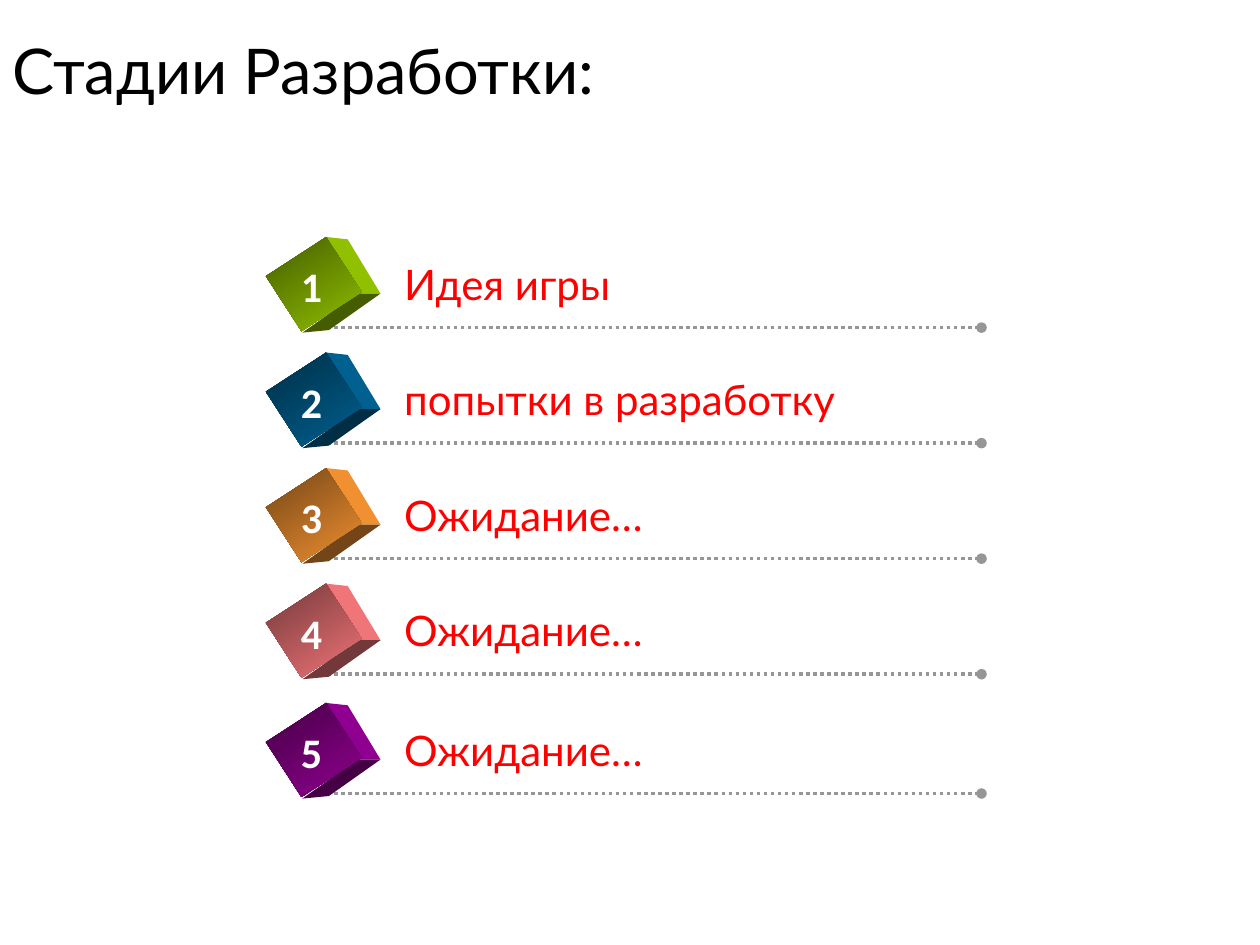
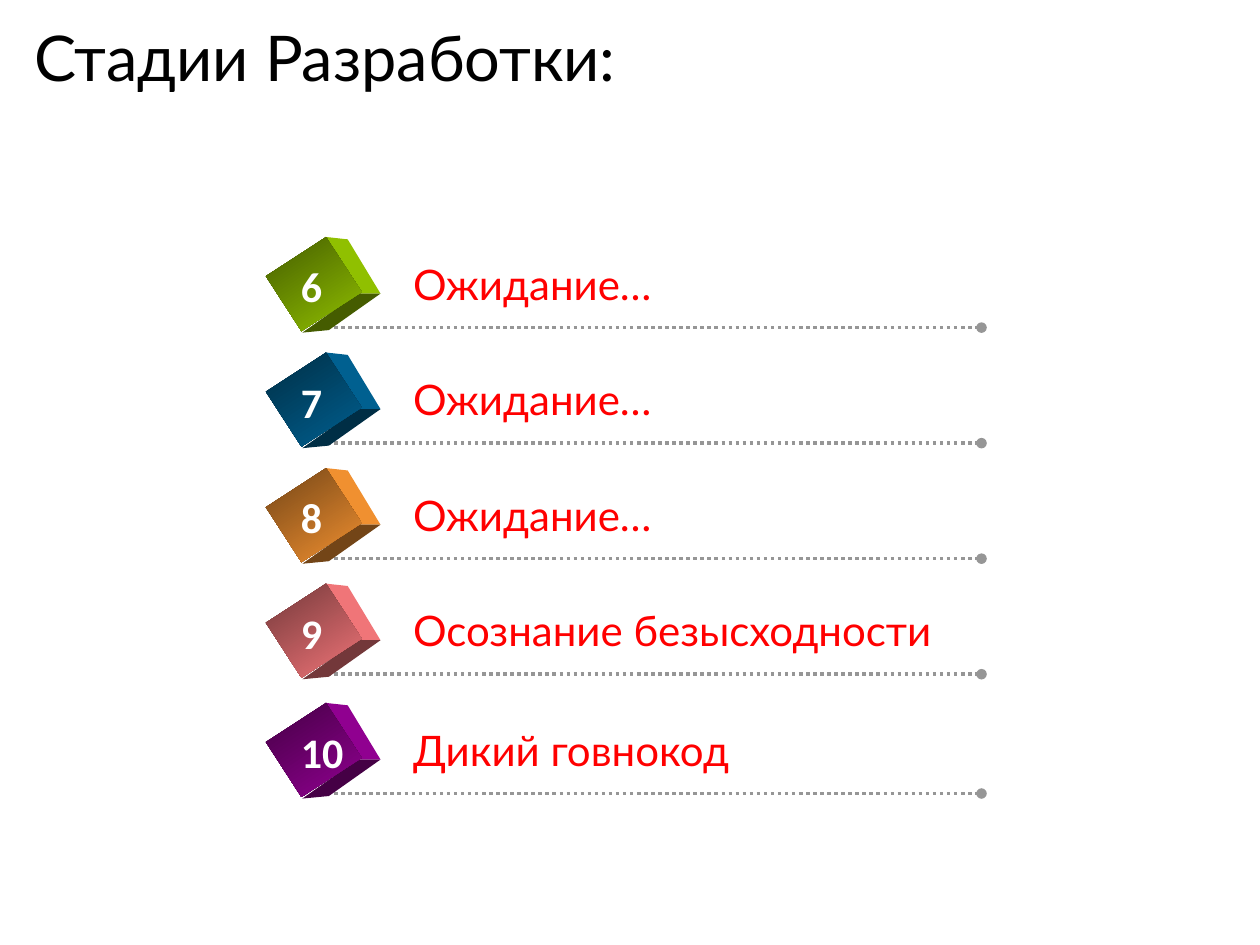
from lxml.etree import SubElement
from pptx import Presentation
from pptx.dml.color import RGBColor
from pptx.enum.dml import MSO_LINE
from pptx.enum.shapes import MSO_CONNECTOR, MSO_SHAPE
from pptx.enum.text import MSO_ANCHOR, MSO_AUTO_SIZE, PP_ALIGN
from pptx.oxml.ns import qn
from pptx.util import Inches, Pt

TITLE = "Стадии Разработки:"
TITLE_FONT = LABEL_FONT = "Lato"
NUMBER_FONT = "Calibri"
BLACK, WHITE, RED, GRAY = "000000", "FFFFFF", "FF0000", "969696"
CUBE_COLORS = ["99CC00", "006699", "FF9933", "FF7C80", "990099"]

# Row grid in inches; the last row sits slightly lower
FIRST_ROW, ROW_PITCH, LAST_ROW_DROP = 1.97, 0.917, 0.03
CUBE_LEFT, CUBE_WIDTH, CUBE_HEIGHT, CUBE_TURN = 2.23, 0.52, 0.57, 57
NUMBER_LEFT, LINE_LEFT, LINE_RIGHT = 2.29, 2.54, 7.79
TEXT_HEIGHT = 0.51

# Corners of the visible cube sides, measured from the row's top
RIGHT_SIDE = [(2.58, -0.09), (2.76, -0.07), (3.02, 0.36), (2.84, 0.36)]
BOTTOM_SIDE = [(2.84, 0.36), (3.02, 0.36), (2.61, 0.65), (2.4, 0.67)]
LIT, SHADED = 0.94, 0.45

# Each stage is its label and the width of the label's box
FIRST_STAGES = [
    ("Идея игры", 1.97),
    ("попытки в разработку", 4.15),
    ("Ожидание…", 2.31),
    ("Ожидание…", 2.31),
    ("Ожидание…", 2.31),
]
LAST_STAGES = [
    ("Ожидание…", 2.31),
    ("Ожидание…", 2.31),
    ("Ожидание…", 2.31),
    ("Осознание безысходности", 4.84),
    ("Дикий говнокод", 3.09),
]


def color(hex_string, brightness=1):
    red, green, blue = RGBColor.from_string(hex_string)
    return RGBColor(*(round(part * brightness) for part in (red, green, blue)))


def format_text(shape, text, font_name, size, hex_color, bold=False):
    frame = shape.text_frame
    frame.word_wrap = True
    frame.auto_size = MSO_AUTO_SIZE.NONE
    paragraph = frame.paragraphs[0]
    paragraph.text = text
    paragraph.alignment = PP_ALIGN.LEFT
    paragraph.font.name = font_name
    paragraph.font.size = Pt(size)
    paragraph.font.bold = bold
    paragraph.font.color.rgb = color(hex_color)
    return frame


def add_text(shapes, left, top, width, text, font_name, hex_color, bold=False):
    box = shapes.add_textbox(*map(Inches, (left, top, width, TEXT_HEIGHT)))
    format_text(box, text, font_name, 24, hex_color, bold)


def set_title(slide, left, top, width, height, anchor, line_spacing):
    title = slide.shapes.title
    title.left, title.top, title.width, title.height = map(
        Inches, (left, top, width, height))
    frame = format_text(title, TITLE, TITLE_FONT, 36, BLACK)
    frame.vertical_anchor = anchor
    frame.paragraphs[0].line_spacing = line_spacing


def add_dotted_line(shapes, top):
    """Draw a row's underline, ending in a dot."""
    connector = shapes.add_connector(
        MSO_CONNECTOR.STRAIGHT,
        *map(Inches, (LINE_LEFT, top, LINE_RIGHT, top)))
    line = connector.line
    line.color.rgb = color(GRAY)
    line.width = Pt(2)
    line.dash_style = MSO_LINE.ROUND_DOT
    SubElement(line._get_or_add_ln(), qn("a:tailEnd"), type="oval")
    SubElement(connector._element.spPr, qn("a:effectLst"))


def add_cube_side(shapes, top, corners, side_color):
    points = [(Inches(x), Inches(top + y)) for x, y in corners]
    builder = shapes.build_freeform(*points[0])
    builder.add_line_segments(points[1:], close=True)
    side = builder.convert_to_shape()
    side.shadow.inherit = False
    side.fill.solid()
    side.fill.fore_color.rgb = side_color
    side.line.fill.background()


def add_cube(shapes, top, hex_color):
    lit, shaded = color(hex_color, LIT), color(hex_color, SHADED)
    add_cube_side(shapes, top, RIGHT_SIDE, lit)
    add_cube_side(shapes, top, BOTTOM_SIDE, shaded)
    front = shapes.add_shape(
        MSO_SHAPE.RECTANGLE,
        *map(Inches, (CUBE_LEFT, top, CUBE_WIDTH, CUBE_HEIGHT)))
    front.rotation = CUBE_TURN
    front.shadow.inherit = False
    front.line.fill.background()
    front.fill.gradient()
    front.fill.gradient_angle = 0
    for stop, stop_color in zip(front.fill.gradient_stops, (shaded, lit)):
        stop.color.rgb = stop_color


def add_stages(slide, stages, first_number, label_left):
    for row, ((label, width), hex_color) in enumerate(zip(stages, CUBE_COLORS)):
        top = FIRST_ROW + row * ROW_PITCH
        if row == len(stages) - 1:
            top += LAST_ROW_DROP
        number = str(first_number + row)
        shapes = slide.shapes.add_group_shape().shapes
        add_dotted_line(shapes, top + 0.63)
        add_cube(shapes, top, hex_color)
        add_text(shapes, label_left, top + 0.03, width, label, LABEL_FONT, RED)
        add_text(shapes, NUMBER_LEFT, top + 0.05, 0.22 + 0.16 * len(number),
                 number, NUMBER_FONT, WHITE, bold=True)


def main():
    presentation = Presentation()
    presentation.slide_width, presentation.slide_height = Inches(10), Inches(7.5)
    title_only = presentation.slide_layouts[5]

    slide = presentation.slides.add_slide(title_only)
    set_title(slide, 0, 0.05, 8.62, 1.08, MSO_ANCHOR.MIDDLE, 0.9)
    add_stages(slide, FIRST_STAGES, first_number=1, label_left=3.11)

    slide = presentation.slides.add_slide(title_only)
    set_title(slide, 0.17, 0.1, 5.32, 0.71, MSO_ANCHOR.TOP, 1)
    add_stages(slide, LAST_STAGES, first_number=6, label_left=3.18)

    presentation.save("out.pptx")


if __name__ == "__main__":
    main()
